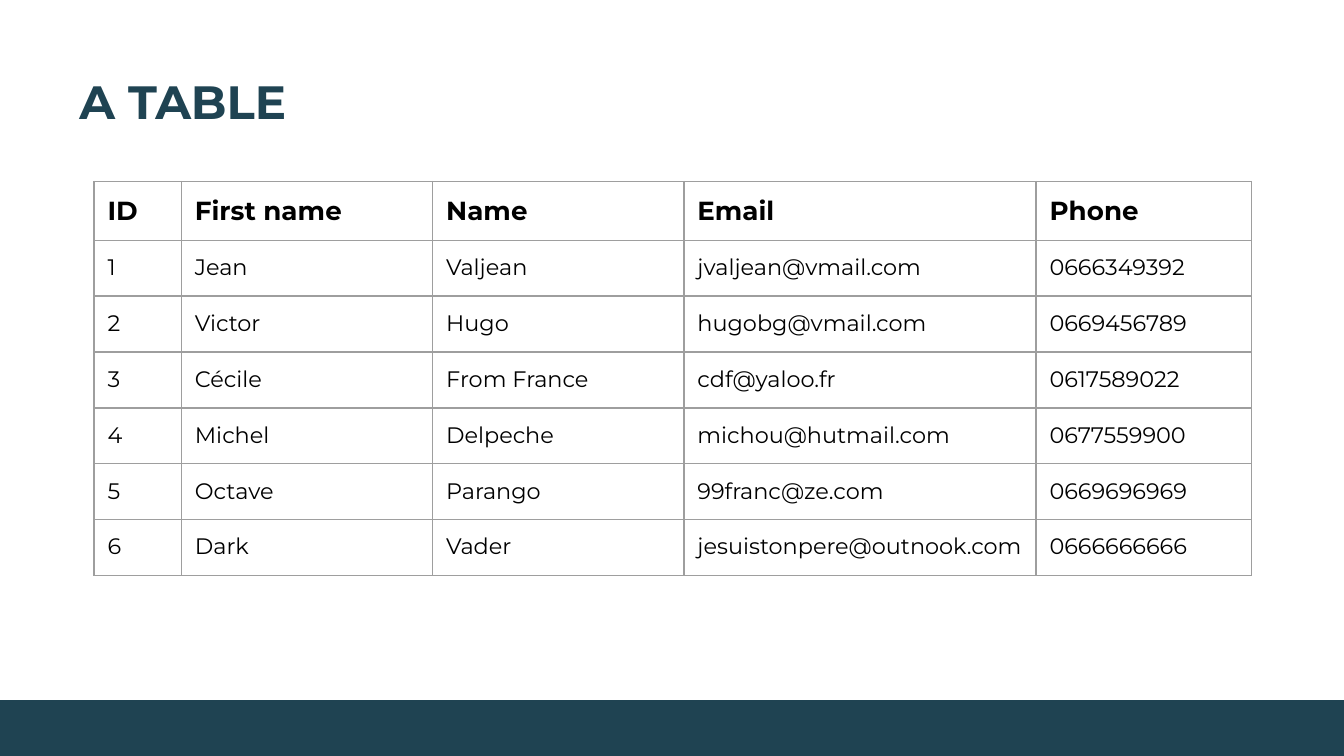
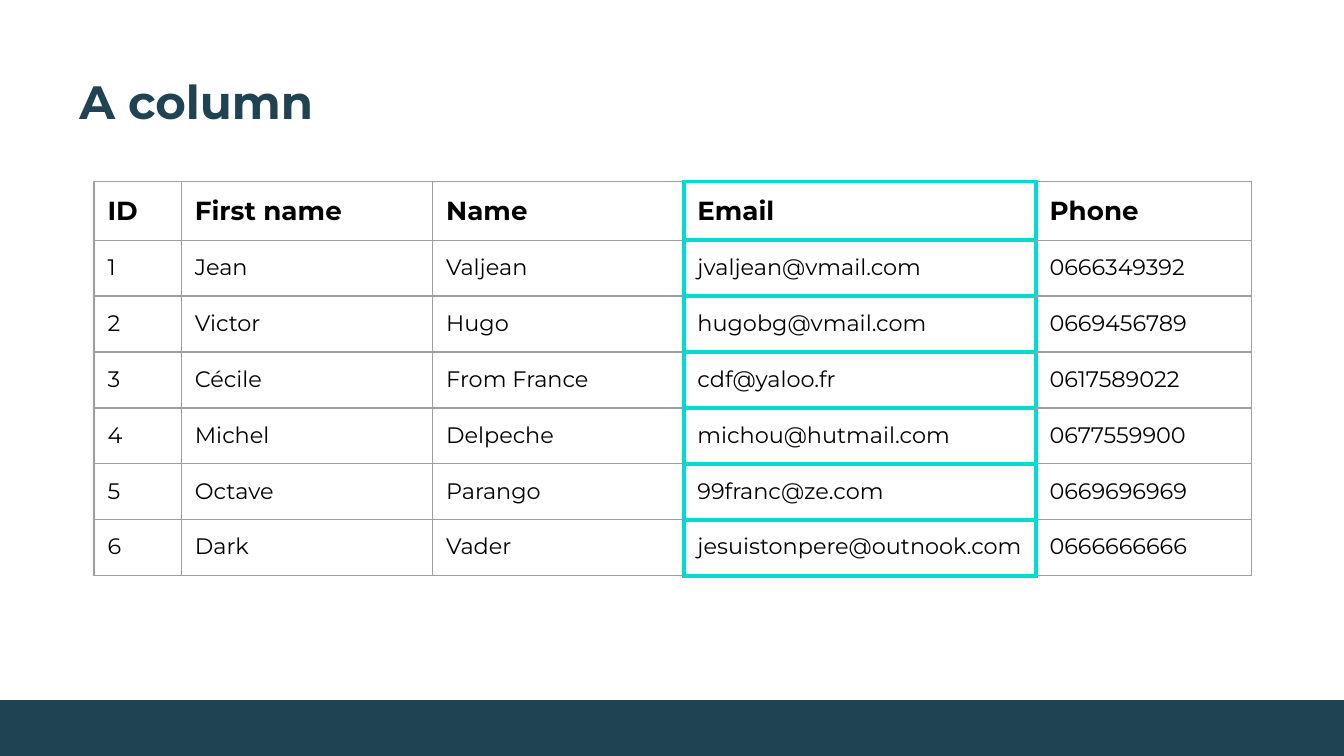
from dataclasses import dataclass
from typing import Optional

from lxml import etree
from pptx import Presentation
from pptx.dml.color import RGBColor
from pptx.enum.shapes import MSO_SHAPE
from pptx.enum.text import MSO_ANCHOR, MSO_AUTO_SIZE, PP_ALIGN
from pptx.oxml.ns import qn
from pptx.util import Inches, Pt

RECT = MSO_SHAPE.RECTANGLE
TOP = MSO_ANCHOR.TOP
LEFT = PP_ALIGN.LEFT
FIXED = MSO_AUTO_SIZE.NONE

# Shared look
FONT = "Montserrat"
NAVY = RGBColor(0x1F, 0x43, 0x52)
TEAL = RGBColor(0x00, 0xDB, 0xD0)
GREY = RGBColor(0x9E, 0x9E, 0x9E)
BLACK = RGBColor(0, 0, 0)
WIDE, HIGH = Inches(10), Inches(5.625)
PAD = Inches(0.1)
TITLE_ONLY = 5


@dataclass(frozen=True)
class Box:
    """Left, top, width and height in percent of the slide."""
    x: float
    y: float
    w: float
    h: float

    def lengths(self) -> tuple[int, int, int, int]:
        return across(self.x), down(self.y), across(self.w), down(self.h)


@dataclass(frozen=True)
class Edge:
    color: RGBColor
    width: float


@dataclass(frozen=True)
class Page:
    title: str
    focus: Optional[int] = None  # index of the outlined column


TITLE = Box(4.9, 7.8, 73.8, 10.3)
BAND = Box(0, 92.6, 100, 7.4)
COLS = (6.5, 18.7, 18.7, 26.2, 16)
ROW = 7.4
THIN = Edge(GREY, 0.75)
BOLD = Edge(TEAL, 2.25)

HEAD = ("ID", "First name", "Name", "Email", "Phone")
PEOPLE = (
    ("Jean", "Valjean", "jvaljean@vmail.com", "0666349392"),
    ("Victor", "Hugo", "hugobg@vmail.com", "0669456789"),
    ("Cécile", "From France", "cdf@yaloo.fr", "0617589022"),
    ("Michel", "Delpeche", "michou@hutmail.com", "0677559900"),
    ("Octave", "Parango", "99franc@ze.com", "0669696969"),
    ("Dark", "Vader", "jesuistonpere@outnook.com", "0666666666"),
)
ROWS = (HEAD,) + tuple((str(n), *who) for n, who in enumerate(PEOPLE, 1))
GRID = Box(7, 24, sum(COLS), ROW * len(ROWS))
PAGES = (Page("A TABLE"), Page("A column", HEAD.index("Email")))


def across(share: float) -> int:
    return round(WIDE * share / 100)


def down(share: float) -> int:
    return round(HIGH * share / 100)


def write(frame, text: str, size: float, color: RGBColor, bold: bool) -> None:
    para = frame.paragraphs[0]
    para.alignment = LEFT
    run = para.add_run()
    run.text = text
    font = run.font
    font.name, font.size, font.bold = FONT, Pt(size), bold
    font.color.rgb = color


def pad(part) -> None:
    part.margin_left = part.margin_right = PAD
    part.margin_top = part.margin_bottom = PAD
    part.vertical_anchor = TOP


def rule(cell, side: str, edge: Edge) -> None:
    line = etree.SubElement(cell._tc.get_or_add_tcPr(), qn(f"a:ln{side}"),
                            w=str(Pt(edge.width)))
    fill = etree.SubElement(line, qn("a:solidFill"))
    etree.SubElement(fill, qn("a:srgbClr"), val=str(edge.color))


def add_title(slide, text: str) -> None:
    shape = slide.shapes.title
    shape.left, shape.top, shape.width, shape.height = TITLE.lengths()
    frame = shape.text_frame
    frame.word_wrap = True
    frame.auto_size = FIXED
    pad(frame)
    write(frame, text, 25, NAVY, True)


def add_band(slide) -> None:
    band = slide.shapes.add_shape(RECT, *BAND.lengths())
    band.shadow.inherit = False
    band.fill.solid()
    band.fill.fore_color.rgb = NAVY
    band.line.fill.background()


def add_grid(slide, focus: Optional[int]) -> None:
    table = slide.shapes.add_table(len(ROWS), len(COLS), *GRID.lengths()).table
    table.horz_banding = False
    for col, share in zip(table.columns, COLS):
        col.width = across(share)
    for r, row in enumerate(ROWS):
        table.rows[r].height = down(ROW)
        head = r == 0
        for c, text in enumerate(row):
            cell = table.cell(r, c)
            pad(cell)
            write(cell.text_frame, text, 14 if head else 12, BLACK, head)
            # A side is bold when it touches the outlined column
            beside = {"L": c - 1, "R": c + 1, "T": c, "B": c}
            for side, near in beside.items():
                bold = focus is not None and focus in (c, near)
                rule(cell, side, BOLD if bold else THIN)
            cell.fill.background()


def main() -> None:
    deck = Presentation()
    deck.slide_width, deck.slide_height = WIDE, HIGH
    for page in PAGES:
        slide = deck.slides.add_slide(deck.slide_layouts[TITLE_ONLY])
        add_title(slide, page.title)
        add_band(slide)
        add_grid(slide, page.focus)
    deck.save("out.pptx")


if __name__ == "__main__":
    main()
